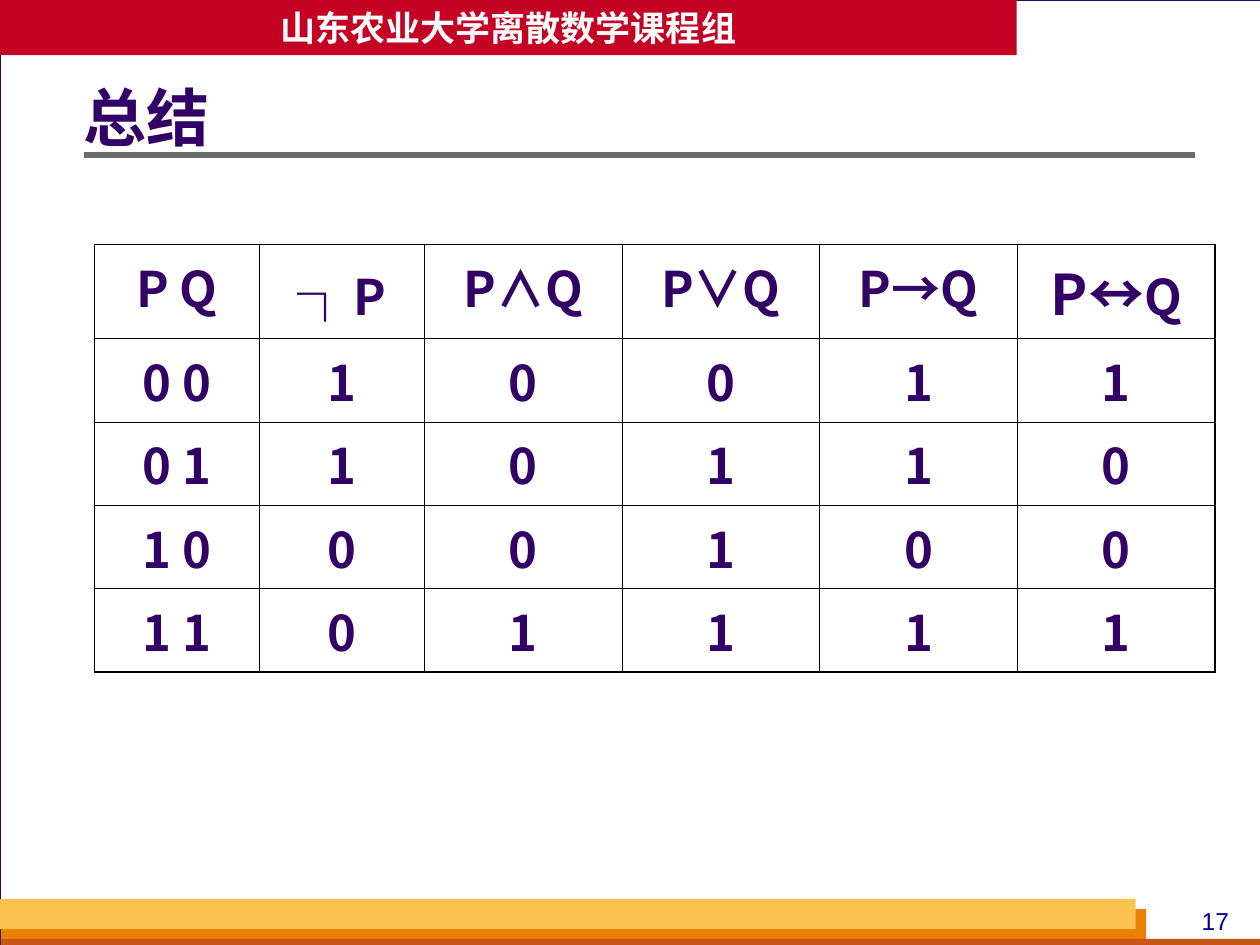
from dataclasses import dataclass
from itertools import product

import pptx
import pptx.dml.color
import pptx.enum.shapes
import pptx.enum.text
import pptx.oxml
import pptx.oxml.ns
import pptx.util

Pt = pptx.util.Pt
ALIGN = pptx.enum.text.PP_ALIGN
ANCHOR = pptx.enum.text.MSO_ANCHOR


@dataclass(frozen=True)
class Theme:
    ink: str = "330066"
    paper: str = "FFFFFF"
    backdrop: str = "D8DADA"
    banner: str = "C30224"
    orange: str = "E88000"
    rust: str = "C95616"
    yellow: str = "FCC24F"
    rule: str = "6B6B6B"
    grid: str = "000000"
    number: str = "000099"
    font: str = "Noto Sans CJK SC"
    number_font: str = "Arial"
    title_size: int = 36
    symbol_size: int = 32
    cell_size: int = 28
    banner_size: int = 20
    number_size: int = 14
    outer_line: float = 0.96
    inner_line: float = 0.45


THEME = Theme()


def color(value):
    return pptx.dml.color.RGBColor.from_string(value)


def apply(target, values):
    for name, value in values.items():
        setattr(target, name, value)


def add_run(paragraph, text, size, ink=THEME.ink, font=THEME.font, bold=True):
    run = paragraph.add_run()
    run.text = text
    apply(run.font, {"name": font, "size": Pt(size), "bold": bold})
    run.font.color.rgb = color(ink)
    east_asian = pptx.oxml.parse_xml(
        f'<a:ea {pptx.oxml.ns.nsdecls("a")} typeface="{font}"/>')
    run.font.fill  # fill precedes the typefaces
    run._r.get_or_add_rPr().find(pptx.oxml.ns.qn("a:latin")).addnext(east_asian)


def format_frame(frame, **values):
    margins = {"margin_left": Pt(7.2), "margin_right": Pt(7.2),
               "margin_top": Pt(3.6), "margin_bottom": Pt(3.6)}
    apply(frame, {**margins, "word_wrap": True, **values})


def add_bar(slide, left, top, width, height, fill, line=None):
    bar = slide.shapes.add_shape(
        pptx.enum.shapes.MSO_SHAPE.RECTANGLE, Pt(left), Pt(top), Pt(width), Pt(height))
    bar.shadow.inherit = False
    bar.fill.solid()
    bar.fill.fore_color.rgb = color(fill)
    if line:
        bar.line.color.rgb = color(line)
        bar.line.width = Pt(0.75)
    else:
        bar.line.fill.background()
    return bar


def add_page_number(slide, text):
    box = slide.shapes.add_textbox(Pt(671.75), Pt(514), Pt(45.5), Pt(24.5))
    format_frame(box.text_frame)
    paragraph = box.text_frame.paragraphs[0]
    paragraph.alignment = ALIGN.CENTER
    add_run(paragraph, text, THEME.number_size, THEME.number, THEME.number_font, False)


def add_title_rule(slide):
    rule = slide.shapes.add_connector(
        pptx.enum.shapes.MSO_CONNECTOR.STRAIGHT, Pt(48), Pt(88.5), Pt(683), Pt(88.5))
    rule.line.color.rgb = color(THEME.rule)
    rule.line.width = Pt(3)
    rule.element.spPr.append(
        pptx.oxml.parse_xml(f'<a:effectLst {pptx.oxml.ns.nsdecls("a")}/>'))


def add_banner(slide, text):
    banner = add_bar(slide, 0, 0, 581, 31.5, THEME.banner)
    format_frame(banner.text_frame, word_wrap=False, vertical_anchor=ANCHOR.MIDDLE)
    paragraph = banner.text_frame.paragraphs[0]
    paragraph.alignment = ALIGN.CENTER
    add_run(paragraph, text, THEME.banner_size, THEME.paper)


def set_title(slide, text):
    """Fill the title placeholder and bring it in front of the page frame."""
    title = slide.shapes.title
    apply(title, {"left": Pt(48), "top": Pt(33), "width": Pt(635), "height": Pt(73)})
    format_frame(title.text_frame, margin_left=0, vertical_anchor=ANCHOR.MIDDLE,
                 auto_size=pptx.enum.text.MSO_AUTO_SIZE.NONE)
    paragraph = title.text_frame.paragraphs[0]
    apply(paragraph, {"alignment": ALIGN.LEFT, "line_spacing": 0.9})
    add_run(paragraph, text, THEME.title_size)
    title.element.getparent().append(title.element)


def set_borders(cell, outer_sides):
    for side in "LRTB":
        width = THEME.outer_line if side in outer_sides else THEME.inner_line
        cell._tc.get_or_add_tcPr().append(pptx.oxml.parse_xml(
            f'<a:ln{side} {pptx.oxml.ns.nsdecls("a")} w="{Pt(width)}">'
            f'<a:solidFill><a:srgbClr val="{THEME.grid}"/></a:solidFill></a:ln{side}>'))


def truth_rows():
    """Header and value rows; each cell is a list of (text, size) runs."""
    normal, large = THEME.cell_size, THEME.symbol_size
    header = [[("P Q", normal)], [("┐", large), ("P", normal)], [("P∧Q", normal)],
              [("P∨Q", normal)], [("P→Q", normal)], [("P↔", large), ("Q", normal)]]
    rows = [header]
    for p, q in product((0, 1), repeat=2):
        results = (1 - p, p & q, p | q, int(p <= q), int(p == q))
        rows.append([[(str(text), normal)] for text in (f"{p} {q}", *results)])
    return rows


def add_truth_table(slide, left, top, widths, heights):
    rows = truth_rows()
    table = slide.shapes.add_table(
        len(rows), len(widths), Pt(left), Pt(top), Pt(sum(widths)), Pt(sum(heights))).table
    apply(table, {"first_row": False, "horz_banding": False})
    for column, width in zip(table.columns, widths):
        column.width = Pt(width)
    for row, height in zip(table.rows, heights):
        row.height = Pt(height)
    for i, j in product(range(len(rows)), range(len(widths))):
        cell = table.cell(i, j)
        edges = {"L": j == 0, "R": j == len(widths) - 1,
                 "T": i == 0, "B": i == len(rows) - 1}
        set_borders(cell, [side for side, is_outer in edges.items() if is_outer])
        cell.fill.background()
        paragraph = cell.text_frame.paragraphs[0]
        paragraph.alignment = ALIGN.CENTER
        for text, size in rows[i][j]:
            add_run(paragraph, text, size)


def main():
    presentation = pptx.Presentation()
    apply(presentation, {"slide_width": Pt(720), "slide_height": Pt(540)})
    slide = presentation.slides.add_slide(presentation.slide_layouts[5])
    slide.background.fill.solid()
    slide.background.fill.fore_color.rgb = color(THEME.backdrop)

    add_bar(slide, 0.4, 0.2, 720, 540, THEME.paper, THEME.ink)
    add_bar(slide, 0.5, 519.5, 654.5, 20.5, THEME.orange)
    add_bar(slide, 0.5, 536.5, 720, 5.5, THEME.rust)
    add_bar(slide, 0, 513.75, 649, 17.25, THEME.yellow)
    add_page_number(slide, "17")
    add_title_rule(slide)
    add_banner(slide, "山东农业大学离散数学课程组")
    set_title(slide, "总结")
    add_truth_table(slide, 54, 139.75, [94.25] * 2 + [113] * 4, [46] + [41] * 4)
    presentation.save("out.pptx")


if __name__ == "__main__":
    main()
